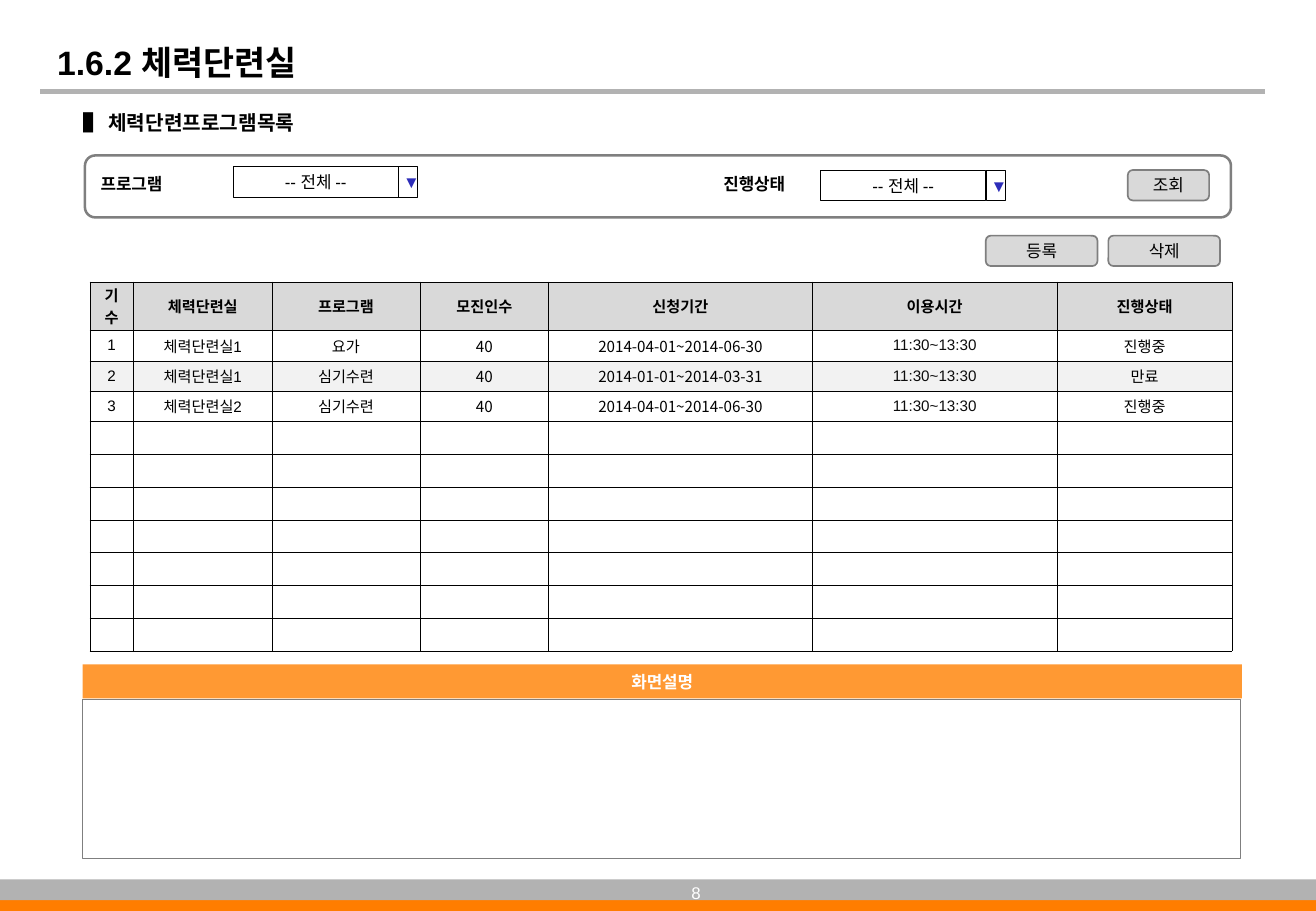
from lxml import etree
from pptx import Presentation
from pptx import util as u
from pptx.dml.color import RGBColor
from pptx.enum import shapes, text
from pptx.oxml import ns

WIDTH, HEIGHT = 10.84, 7.5
FONT, KOREAN_FONT = "Arial", "Noto Sans CJK KR"
COLORS = {
    "black": "000000", "ink": "0D0D0D", "white": "FFFFFF", "blue": "2D2DB9",
    "rule": "B2B2B2", "edge": "7F7F7F", "button": "D9D9D9", "band": "F2F2F2",
    "orange": "FF9933", "footer": "FF7D00",
}
TITLE = "1.6.2 체력단련실"
SECTION = "▌ 체력단련프로그램목록"
FILTERS = [
    ("프로그램", 0.73, 1.92, 1.37),
    ("진행상태", 5.86, 6.76, 1.4),
]
CHOICE, CHOICE_WIDTH, ARROW_WIDTH, CONTROL_HEIGHT = "-- 전체 --", 1.36, 0.16, 0.25
BUTTONS = [("조회", 9.29, 1.4, 0.67), ("등록", 8.12, 1.94, 0.92), ("삭제", 9.13, 1.94, 0.92)]
HEADERS = ["기수", "체력단련실", "프로그램", "모진인수", "신청기간", "이용시간", "진행상태"]
PROGRAMS = [
    ["1", "체력단련실1", "요가", "40", "2014-04-01~2014-06-30", "11:30~13:30", "진행중"],
    ["2", "체력단련실1", "심기수련", "40", "2014-01-01~2014-03-31", "11:30~13:30", "만료"],
    ["3", "체력단련실2", "심기수련", "40", "2014-04-01~2014-06-30", "11:30~13:30", "진행중"],
]
EMPTY_ROWS = 7
COLUMN_WIDTHS = [0.36, 1.14, 1.22, 1.06, 2.17, 2.02, 1.44]
ROW_HEIGHTS = [0.4] + [0.25] * len(PROGRAMS) + [0.27] * EMPTY_ROWS
TABLE_LEFT, TABLE_TOP = 0.74, 2.32
NOTE_LEFT, NOTE_TOP, NOTE_WIDTH = 0.68, 5.47, 9.55
NOTE_HEADING = "화면설명"
PAGE_NUMBER = "8"

RECT, ROUND = shapes.MSO_SHAPE.RECTANGLE, shapes.MSO_SHAPE.ROUNDED_RECTANGLE
LEFT, CENTER, RIGHT = text.PP_ALIGN.LEFT, text.PP_ALIGN.CENTER, text.PP_ALIGN.RIGHT
MIDDLE = text.MSO_ANCHOR.MIDDLE


def rgb(name):
    return RGBColor.from_string(COLORS[name])


def inches(*lengths):
    return [u.Inches(length) for length in lengths]


def write(frame, words, size, color="black", bold=False, align=LEFT, font=FONT):
    para = frame.paragraphs[0]
    para.text = words
    para.alignment = align
    para.font.size = u.Pt(size)
    para.font.bold = bold
    para.font.color.rgb = rgb(color)
    para.font.name = font
    east = etree.SubElement(para.font._element, ns.qn("a:ea"))
    east.set("typeface", KOREAN_FONT)


def set_margins(target, side, vertical):
    target.margin_left = target.margin_right = u.Inches(side)
    target.margin_top = target.margin_bottom = u.Inches(vertical)


def add_box(page, kind, place, fill=None, edge=None, edge_width=1):
    box = page.shapes.add_shape(kind, *inches(*place))
    box.shadow.inherit = False
    if fill:
        box.fill.solid()
        box.fill.fore_color.rgb = rgb(fill)
    else:
        box.fill.background()
    if edge:
        box.line.color.rgb = rgb(edge)
        box.line.width = u.Pt(edge_width)
    else:
        box.line.fill.background()
    return box


def label_box(box, words, color="black", bold=False, side=0, vertical=0.04):
    frame = box.text_frame
    frame.vertical_anchor = MIDDLE
    set_margins(frame, side, vertical)
    write(frame, words, 10, color, bold, CENTER)


def add_label(page, place, words, size=10, color="black", bold=True, align=LEFT, wrap=False):
    frame = page.shapes.add_textbox(*inches(*place)).text_frame
    frame.word_wrap = wrap
    write(frame, words, size, color, bold, align)


def add_header(page):
    title = page.shapes.title
    title.left, title.top, title.width, title.height = inches(0.37, 0.23, 8.06, 0.5)
    title.text_frame.vertical_anchor = text.MSO_ANCHOR.BOTTOM
    write(title.text_frame, TITLE, 20, bold=True)
    rule = page.shapes.add_connector(
        shapes.MSO_CONNECTOR.STRAIGHT, *inches(0.33, 0.75, 10.42, 0.75))
    rule.line.color.rgb = rgb("rule")
    rule.line.width = u.Pt(3)
    etree.SubElement(rule._element.spPr, ns.qn("a:effectLst"))
    add_label(page, (0.59, 0.86, 3.96, 0.3), SECTION, size=12, wrap=True)


def add_search(page):
    add_box(page, ROUND, (0.7, 1.28, 9.44, 0.51), edge="edge", edge_width=1.5)
    for name, label_left, left, top in FILTERS:
        add_label(page, (label_left, 1.38, 0.71, 0.27), name)
        choice = add_box(page, RECT, (left, top, CHOICE_WIDTH, CONTROL_HEIGHT),
                         "white", "black", 0.25)
        label_box(choice, CHOICE, side=0.04)
        arrow = add_box(page, RECT, (left + CHOICE_WIDTH, top, ARROW_WIDTH, CONTROL_HEIGHT),
                        edge="black", edge_width=0.25)
        label_box(arrow, "▼", "blue", side=0.04)
    for name, left, top, width in BUTTONS:
        button = add_box(page, ROUND, (left, top, width, CONTROL_HEIGHT), "button", "edge")
        label_box(button, name)


def outline_cell(cell):
    properties = cell._tc.get_or_add_tcPr()
    for side in ("lnL", "lnR", "lnT", "lnB"):
        line = etree.SubElement(properties, ns.qn("a:" + side), w=str(u.Pt(0.25)))
        fill = etree.SubElement(line, ns.qn("a:solidFill"))
        etree.SubElement(fill, ns.qn("a:srgbClr"), val=COLORS["black"])


def add_programs(page):
    grid = [HEADERS] + PROGRAMS + [[""] * len(HEADERS)] * EMPTY_ROWS
    place = inches(TABLE_LEFT, TABLE_TOP, sum(COLUMN_WIDTHS), sum(ROW_HEIGHTS))
    table = page.shapes.add_table(len(grid), len(HEADERS), *place).table
    table.horz_banding = False
    for column, width in zip(table.columns, COLUMN_WIDTHS):
        column.width = u.Inches(width)
    for row, height in zip(table.rows, ROW_HEIGHTS):
        row.height = u.Inches(height)
    for r, words in enumerate(grid):
        fill = {0: "button", 2: "band"}.get(r, "white")
        for c, word in enumerate(words):
            cell = table.cell(r, c)
            cell.vertical_anchor = MIDDLE
            set_margins(cell, 0.04 if r else 0.1, 0.02)
            outline_cell(cell)
            cell.fill.solid()
            cell.fill.fore_color.rgb = rgb(fill)
            numeric = r > 0 and c in (3, 4)
            write(cell.text_frame, word, 9, "ink" if r and c == 5 else "black",
                  r == 0, CENTER, KOREAN_FONT if numeric else FONT)
            if not word:
                end = cell.text_frame.paragraphs[0]._p.get_or_add_endParaRPr()
                end.set("sz", "900")


def add_notes_panel(page):
    add_box(page, RECT, (NOTE_LEFT, 5.76, NOTE_WIDTH - 0.01, 1.31), "white", "edge", 0.75)
    heading = add_box(page, RECT, (NOTE_LEFT, NOTE_TOP, NOTE_WIDTH, 0.28), "orange")
    label_box(heading, NOTE_HEADING, "white", True, side=0.1)


def add_footer(page):
    add_box(page, RECT, (0, HEIGHT - 0.16, WIDTH, 0.16), "footer")
    add_box(page, RECT, (0, 7.24, WIDTH, 0.17), "rule")
    add_label(page, (5.04, 7.22, 0.83, 0.27), PAGE_NUMBER, color="white",
              bold=False, align=RIGHT, wrap=True)


def main():
    deck = Presentation()
    deck.slide_width, deck.slide_height = inches(WIDTH, HEIGHT)
    page = deck.slides.add_slide(deck.slide_layouts[5])
    add_header(page)
    add_search(page)
    add_programs(page)
    add_notes_panel(page)
    add_footer(page)
    deck.save("out.pptx")


if __name__ == "__main__":
    main()
